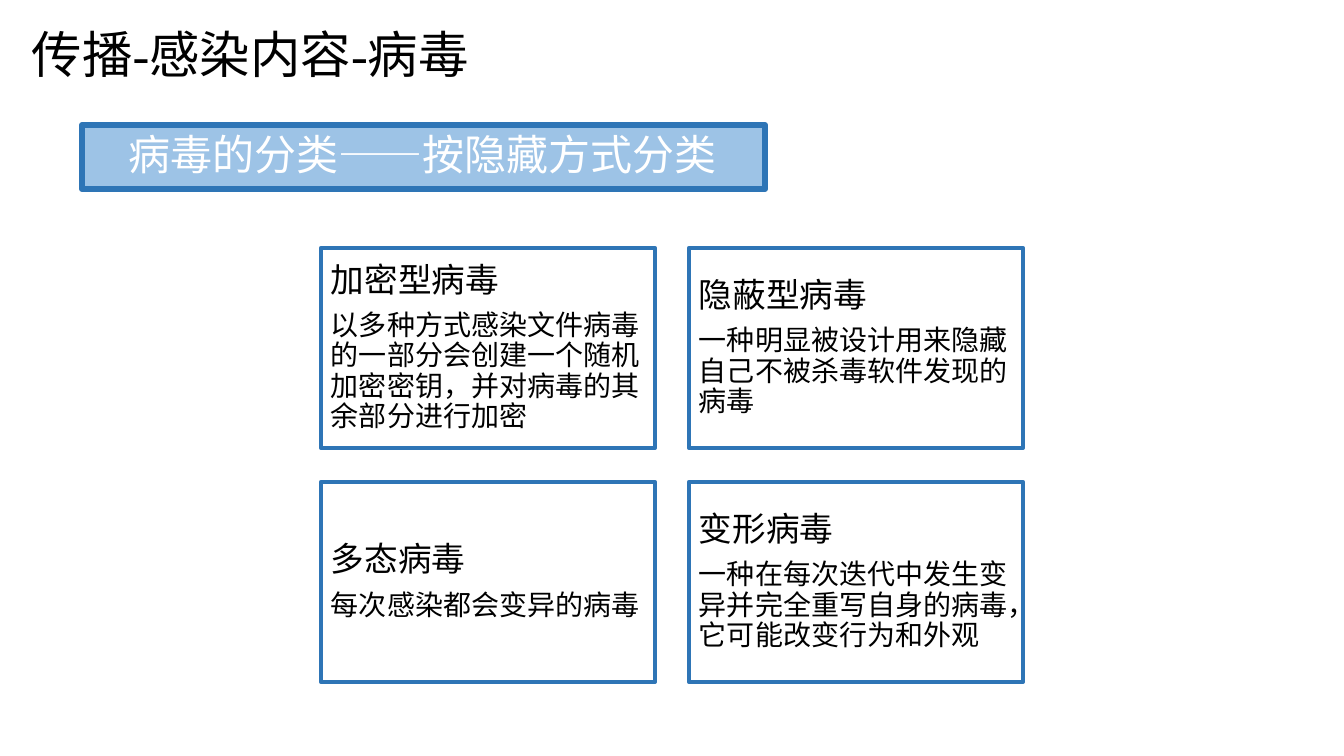
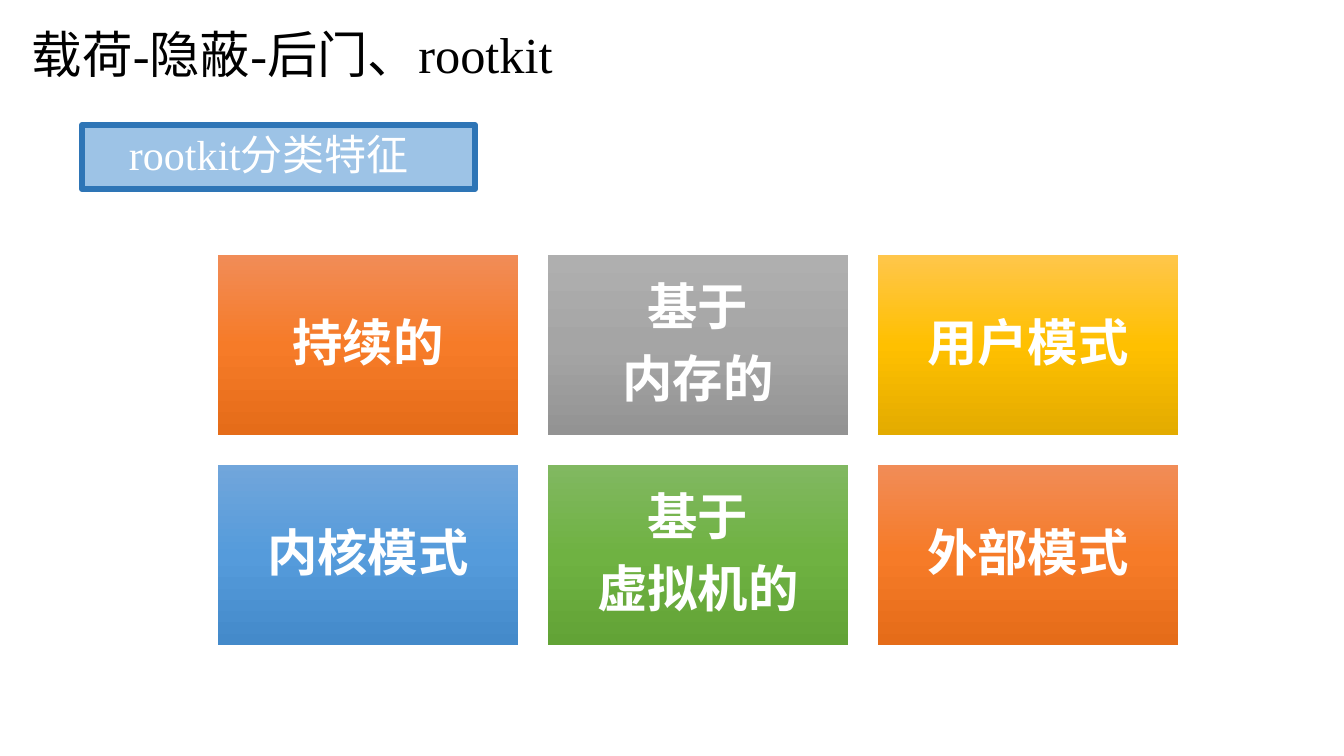
from copy import deepcopy

from lxml import etree
from pptx import Presentation
from pptx.dml.color import RGBColor
from pptx.enum.shapes import MSO_SHAPE
from pptx.enum.text import MSO_ANCHOR, PP_ALIGN
from pptx.oxml.ns import qn
from pptx.util import Emu, Pt

RECT = MSO_SHAPE.RECTANGLE
MIDDLE = MSO_ANCHOR.MIDDLE
LEFT, CENTER = PP_ALIGN.LEFT, PP_ALIGN.CENTER

EMU_PER_PX = 914400 / 100.8
LATIN_FONT = "Times New Roman"
CJK_FONT = "Noto Sans CJK SC"

BLACK = RGBColor(0x00, 0x00, 0x00)
WHITE = RGBColor(0xFF, 0xFF, 0xFF)
BLUE = RGBColor(0x2E, 0x75, 0xB6)
LIGHT_BLUE = RGBColor(0x9D, 0xC3, 0xE6)
ORANGE = [RGBColor(0xF1, 0x8C, 0x57), RGBColor(0xF6, 0x7B, 0x28), RGBColor(0xE5, 0x6C, 0x19)]
GRAY = [RGBColor(0xAF, 0xAF, 0xAF), RGBColor(0xA5, 0xA5, 0xA5), RGBColor(0x93, 0x93, 0x93)]
GOLD = [RGBColor(0xFF, 0xC6, 0x4B), RGBColor(0xFF, 0xC0, 0x00), RGBColor(0xE3, 0xAB, 0x00)]
SKY = [RGBColor(0x71, 0xA6, 0xDB), RGBColor(0x55, 0x9B, 0xDB), RGBColor(0x44, 0x8A, 0xCA)]
GREEN = [RGBColor(0x81, 0xB8, 0x61), RGBColor(0x6F, 0xB2, 0x42), RGBColor(0x62, 0xA3, 0x36)]


def px(*lengths):
    return [Emu(round(n * EMU_PER_PX)) for n in lengths]


def write(shape, lines, color, inset, align=LEFT, bold=False, tight=True):
    tf = shape.text_frame
    tf.word_wrap = True
    tf.vertical_anchor = MIDDLE
    tf.margin_left, tf.margin_top = px(*inset)
    tf.margin_right, tf.margin_bottom = px(*inset)
    tf.text = "\n".join(text for text, size in lines)
    for p, (text, size) in zip(tf.paragraphs, lines):
        p.alignment = align
        if tight:
            p.line_spacing = 0.9
            p.space_after = Pt(size * 0.35)
        r = p.runs[0]
        r.font.name = LATIN_FONT
        r.font.size = Pt(size)
        r.font.bold = bold
        r.font.color.rgb = color
        ea = etree.SubElement(r.font._element, qn("a:ea"))
        ea.set("typeface", CJK_FONT)


prs = Presentation()
prs.slide_width, prs.slide_height = px(1344, 756)

slides = []
for title, title_width, heading, heading_width in [
    ("传播-感染内容-病毒", 596, "病毒的分类——按隐藏方式分类", 683),
    ("载荷-隐蔽-后门、rootkit", 1159, "rootkit分类特征", 393),
]:
    s = prs.slides.add_slide(prs.slide_layouts[6])
    slides.append(s)
    box = s.shapes.add_textbox(*px(21, 0, title_width, 107))
    write(box, [(title, 36)], BLACK, (11, 6), tight=False)

    banner = s.shapes.add_shape(RECT, *px(82, 125, heading_width, 64))
    banner.shadow.inherit = False
    banner.fill.solid()
    banner.fill.fore_color.rgb = LIGHT_BLUE
    banner.line.color.rgb = BLUE
    banner.line.width = Pt(4.33)
    etree.SubElement(banner.line._get_or_add_ln(), qn("a:round"))
    write(banner, [(heading, 30)], WHITE, (47, 0))

virus_types = [
    ("加密型病毒", "以多种方式感染文件病毒的一部分会创建一个随机加密密钥，并对病毒的其余部分进行加密"),
    ("隐蔽型病毒", "一种明显被设计用来隐藏自己不被杀毒软件发现的病毒"),
    ("多态病毒", "每次感染都会变异的病毒"),
    ("变形病毒", "一种在每次迭代中发生变异并完全重写自身的病毒，它可能改变行为和外观"),
]
for i, (name, description) in enumerate(virus_types):
    row, col = divmod(i, 2)
    card = slides[0].shapes.add_shape(RECT, *px(321 + col * 368, 248 + row * 234, 334, 200))
    card.shadow.inherit = False
    card.fill.background()
    card.line.color.rgb = BLUE
    card.line.width = Pt(3)
    etree.SubElement(card.line._get_or_add_ln(), qn("a:round"))
    write(card, [(name, 24), (description, 20)], BLACK, (10, 10))

rootkit_types = [
    (["持续的"], ORANGE),
    (["基于", "内存的"], GRAY),
    (["用户模式"], GOLD),
    (["内核模式"], SKY),
    (["基于", "虚拟机的"], GREEN),
    (["外部模式"], ORANGE),
]
for i, (lines, colors) in enumerate(rootkit_types):
    row, col = divmod(i, 3)
    tile = slides[1].shapes.add_shape(RECT, *px(218 + col * 330, 255 + row * 210, 300, 180))
    tile.shadow.inherit = False
    tile.line.fill.background()
    tile.fill.gradient()
    tile.fill.gradient_angle = 270
    stop_list = tile._element.spPr.find(qn("a:gradFill")).find(qn("a:gsLst"))
    stop_list.append(deepcopy(stop_list[0]))
    for stop, position, color in zip(tile.fill.gradient_stops, (0, 0.5, 1), colors):
        stop.position = position
        stop.color.rgb = color
    write(tile, [(line, 36) for line in lines], WHITE, (15, 15), CENTER, bold=True)

prs.save("out.pptx")
